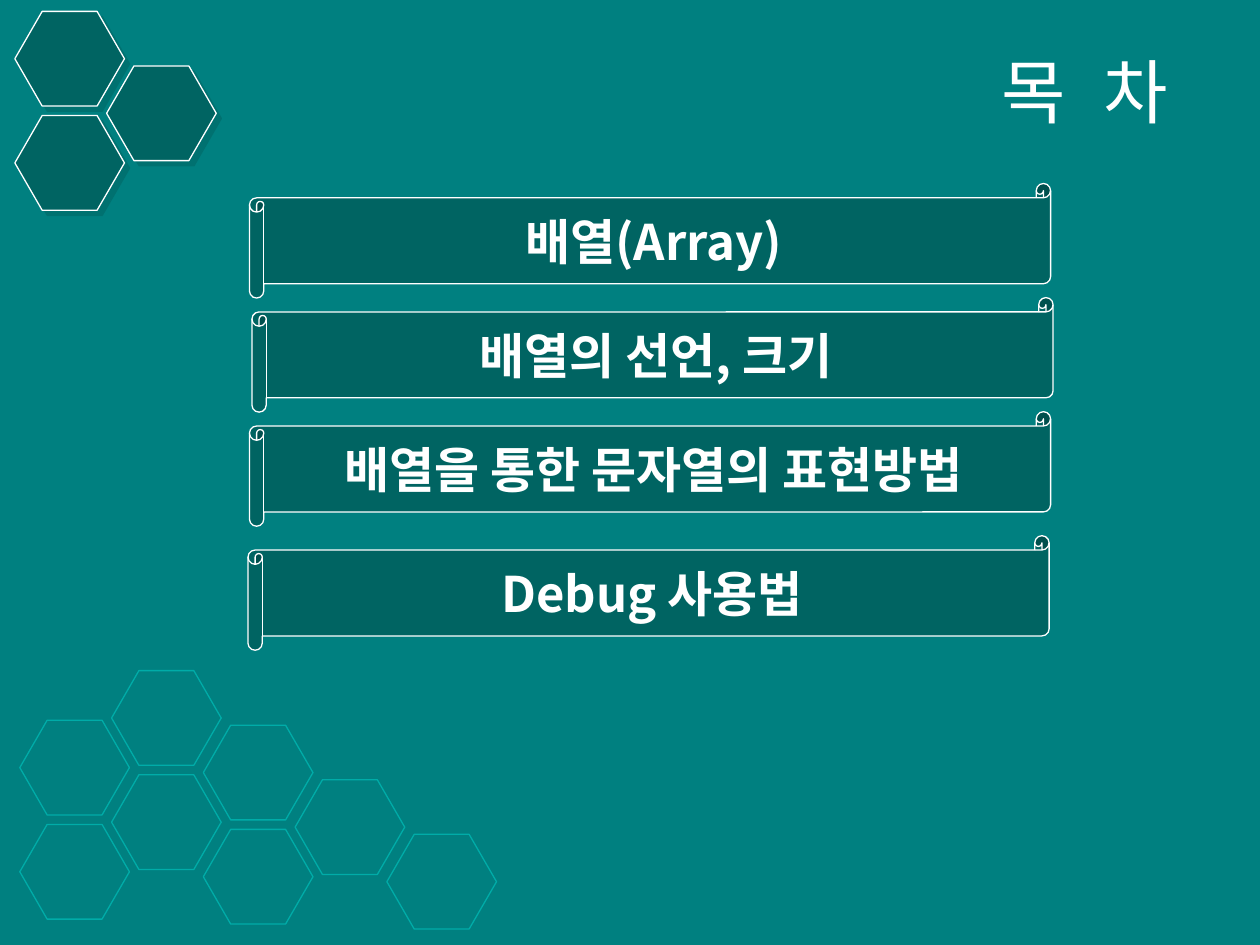
from lxml import etree
from pptx import Presentation
from pptx.dml.color import RGBColor
from pptx.enum.shapes import MSO_SHAPE as SHAPE
from pptx.enum.text import MSO_ANCHOR as ANCHOR, PP_ALIGN as ALIGN
from pptx.oxml.ns import qn
from pptx.util import Cm, Pt

TEAL, DARK, BRIGHT, WHITE = "008080", "006462", "00ACA8", "FFFFFF"
HEX_W, HEX_H = 2.21, 1.91
COL_STEP, ROW_STEP = 1.85, 2.1


def color(target, value):
    """Set a fill or a colour object from a hex string."""
    if hasattr(target, "solid"):
        target.solid()
        target = target.fore_color
    target.rgb = RGBColor.from_string(value)


def add_text(p, text, font="Arial", size=28, bold=False, ink=WHITE, spacing=0):
    r = p.add_run()
    r.text = text
    r.font.name, r.font.size, r.font.bold = font, Pt(size), bold
    color(r.font.color, ink)
    rPr = r._r.get_or_add_rPr()
    etree.SubElement(rPr, qn("a:ea"), typeface=font)
    if spacing:
        rPr.set("spc", str(spacing * 100))


def add_shadow(sp, ink):
    effects = sp._element.spPr.find(qn("a:effectLst"))
    shadow = etree.SubElement(effects, qn("a:outerShdw"), blurRad="0",
                              dist=str(Pt(4.2)), dir="2700000",
                              algn="ctr", rotWithShape="0")
    clr = etree.SubElement(shadow, qn("a:srgbClr"), val=ink)
    etree.SubElement(clr, qn("a:alpha"), val="50000")


def add_shape(s, kind, x, y, w, h, line, fill=None):
    sp = s.shapes.add_shape(kind, Cm(x), Cm(y), Cm(w), Cm(h))
    sp.shadow.inherit = False
    color(sp.line.color, line)
    sp.line.width = Pt(0.75)
    if fill:
        color(sp.fill, fill)
    else:
        sp.fill.background()
    return sp


def add_honeycomb(s, x, y, columns, line, fill=None):
    """Each column is (offset from y, number of hexagons)."""
    for col, (offset, count) in enumerate(columns):
        for row in range(count):
            sp = add_shape(s, SHAPE.HEXAGON, x + col * COL_STEP,
                           y + offset + row * ROW_STEP, HEX_W, HEX_H, line, fill)
            sp.adjustments[0] = 0.289
            if fill:
                add_shadow(sp, fill)


def add_title(s, x, y, w, h):
    tf = s.shapes.add_textbox(Cm(x), Cm(y), Cm(w), Cm(h)).text_frame
    tf.word_wrap = True
    tf.vertical_anchor = ANCHOR.MIDDLE
    p = tf.paragraphs[0]
    p.alignment = ALIGN.RIGHT
    for text, spacing in (("목", 0), (" ", 11), ("차", 0)):
        add_text(p, text, size=40, spacing=spacing)


def add_contents(s, x, y, w, h, items):
    """Each item is (text, shift right, shift down) from the top left."""
    for text, dx, dy in items:
        sp = add_shape(s, SHAPE.HORIZONTAL_SCROLL, x + dx, y + dy, w, h, WHITE, DARK)
        tf = sp.text_frame
        tf.word_wrap = True
        tf.vertical_anchor = ANCHOR.MIDDLE
        p = tf.paragraphs[0]
        p.alignment = ALIGN.CENTER
        add_text(p, text, font="Noto Sans CJK KR", bold=True)


prs = Presentation()
prs.slide_width, prs.slide_height = Cm(25.4), Cm(19.05)
s = prs.slides.add_slide(prs.slide_layouts[6])
color(s.background.fill, TEAL)

# Honeycombs: outlined at the bottom, filled at the top
add_honeycomb(s, 0.4, 13.52,
              [(1, 2), (0, 2), (1.1, 2), (2.2, 1), (3.3, 1)], BRIGHT)
add_honeycomb(s, 0.3, 0.23, [(0, 2), (1.1, 1)], WHITE, DARK)

# Title and table of contents
add_title(s, 4.7, 0.71, 19.1, 2.21)
add_contents(s, 5.03, 3.7, 16.15, 2.31, [
    ("배열(Array)", 0, 0),
    ("배열의 선언, 크기", 0.05, 2.3),
    ("배열을 통한 문자열의 표현방법", 0, 4.6),
    ("Debug 사용법", -0.03, 7.1),
])

prs.save("out.pptx")
